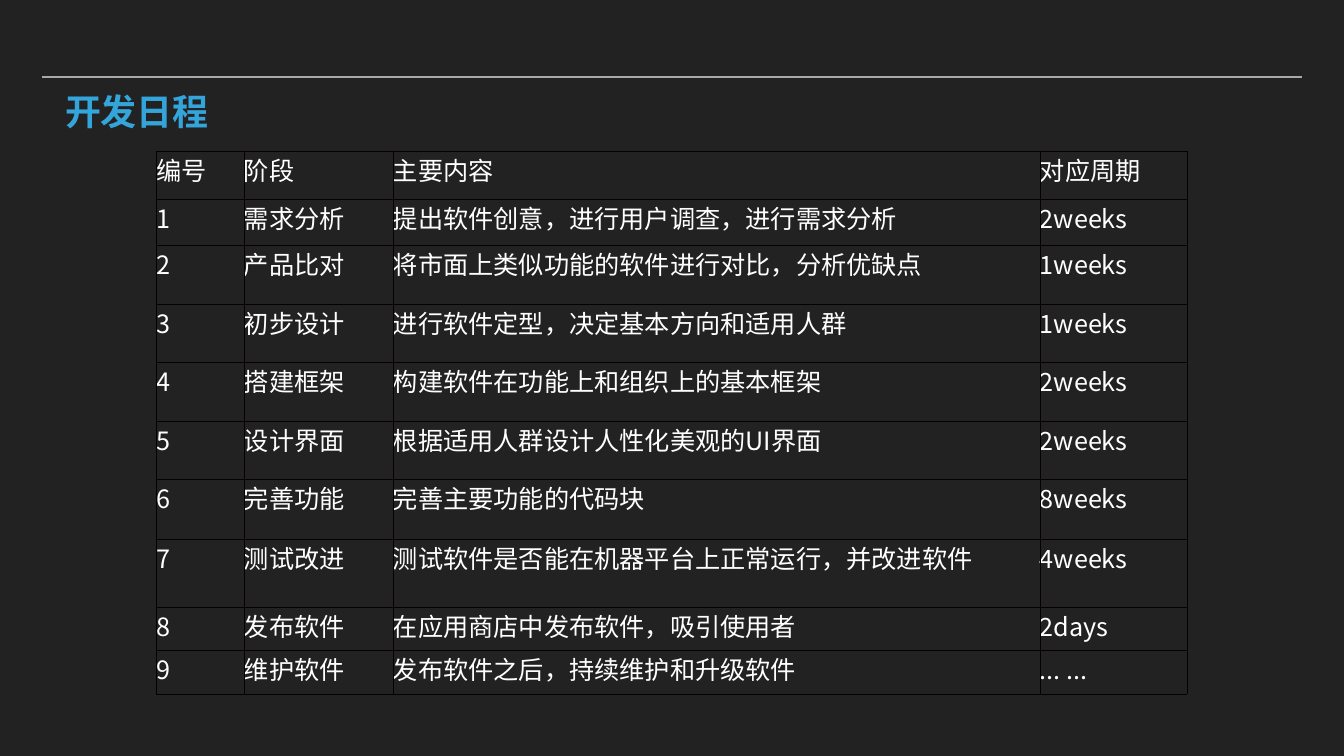
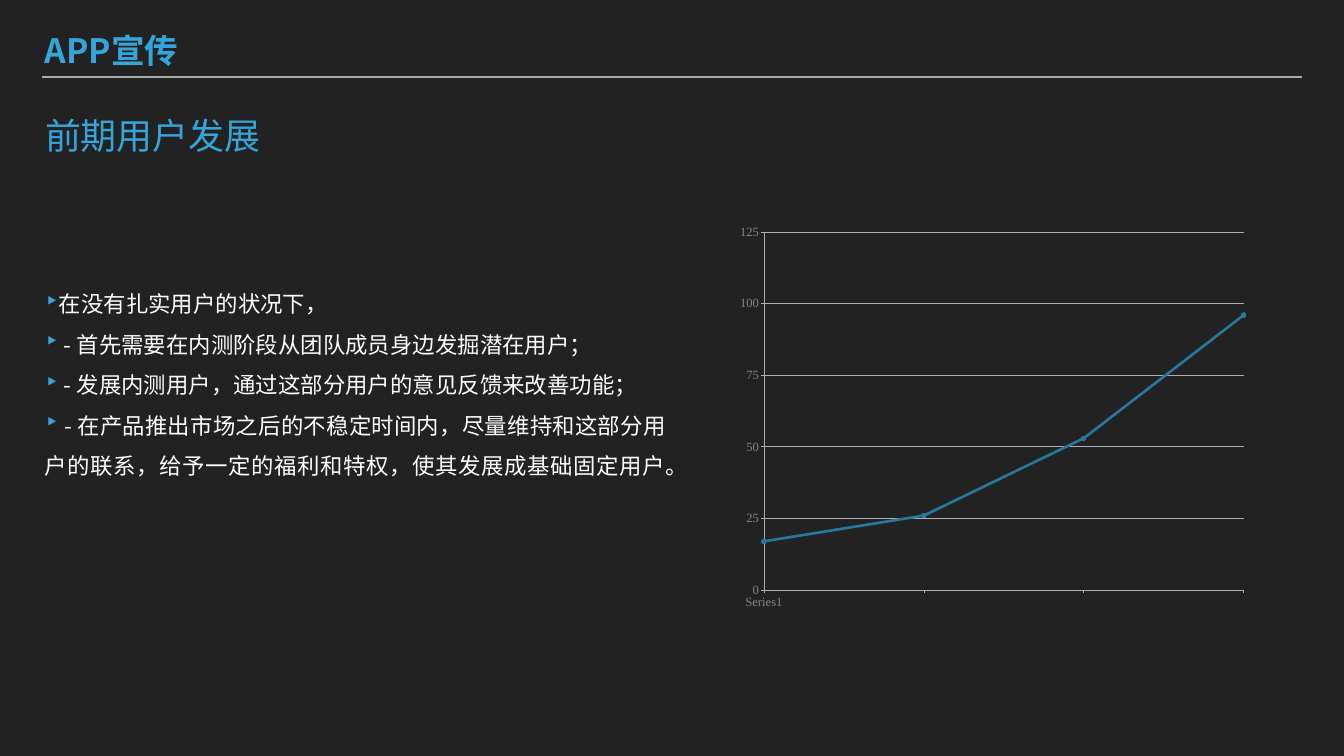
from lxml.etree import SubElement
from pptx import Presentation
from pptx.chart.data import CategoryChartData
from pptx.dml.color import RGBColor
from pptx.enum.chart import XL_CHART_TYPE, XL_MARKER_STYLE, XL_TICK_LABEL_POSITION, XL_TICK_MARK
from pptx.enum.shapes import MSO_CONNECTOR
from pptx.enum.text import MSO_ANCHOR, PP_ALIGN
from pptx.oxml.ns import qn
from pptx.util import Emu, Pt

PX_PER_INCH = 50.4
TITLE_ONLY = 5

BACKGROUND = RGBColor(0x22, 0x22, 0x22)
ACCENT = RGBColor(0x34, 0xA5, 0xDA)
BULLET = RGBColor(0x39, 0xA3, 0xD5)
WHITE = RGBColor(0xFF, 0xFF, 0xFF)
RULE = RGBColor(0xA6, 0xAA, 0xA9)
CELL_BORDER = RGBColor(0x08, 0x00, 0x00)
AXIS_LINE = RGBColor(0xAD, 0xAF, 0xAF)
AXIS_TEXT = RGBColor(0x83, 0x87, 0x87)
USERS_LINE = RGBColor(0x26, 0x78, 0x9F)

FONT = "Noto Sans CJK SC"
CHART_FONT = "Times New Roman"

COLUMN_WIDTHS = (88, 149, 647, 147)
ROW_HEIGHTS = (48, 46, 59, 58, 59, 58, 60, 68, 43, 44)
HEADINGS = ("编号", "阶段", "主要内容", "对应周期")
STAGES = (
    ("需求分析", "提出软件创意，进行用户调查，进行需求分析", "2weeks"),
    ("产品比对", "将市面上类似功能的软件进行对比，分析优缺点", "1weeks"),
    ("初步设计", "进行软件定型，决定基本方向和适用人群", "1weeks"),
    ("搭建框架", "构建软件在功能上和组织上的基本框架", "2weeks"),
    ("设计界面", "根据适用人群设计人性化美观的UI界面", "2weeks"),
    ("完善功能", "完善主要功能的代码块", "8weeks"),
    ("测试改进", "测试软件是否能在机器平台上正常运行，并改进软件", "4weeks"),
    ("发布软件", "在应用商店中发布软件，吸引使用者", "2days"),
    ("维护软件", "发布软件之后，持续维护和升级软件", "... ..."),
)
USER_STEPS = (
    "在没有扎实用户的状况下，",
    " - 首先需要在内测阶段从团队成员身边发掘潜在用户；",
    " - 发展内测用户，通过这部分用户的意见反馈来改善功能；",
    " - 在产品推出市场之后的不稳定时间内，尽量维持和这部分用户的联系，"
    "给予一定的福利和特权，使其发展成基础固定用户。",
)
USER_COUNTS = (17, 26, 53, 96)


def px(length):
    return Emu(round(length * 914400 / PX_PER_INCH))


def add_bullet(paragraph):
    properties = paragraph._p.get_or_add_pPr()
    properties.set("marL", "0")
    properties.set("indent", "0")
    color = SubElement(properties, qn("a:buClr"))
    SubElement(color, qn("a:srgbClr"), val=str(BULLET))
    SubElement(properties, qn("a:buSzPct"), val="105000")
    SubElement(properties, qn("a:buChar"), char="‣")


def write_text(frame, *lines, size, color=WHITE, bold=False, align=PP_ALIGN.LEFT,
               spacing=None, insets=(3, 3, 3, 3), anchor=MSO_ANCHOR.TOP, bullets=False):
    """Fill a text frame, one paragraph per line; insets run left, top, right, bottom."""
    frame.word_wrap = True
    frame.vertical_anchor = anchor
    (frame.margin_left, frame.margin_top,
     frame.margin_right, frame.margin_bottom) = map(px, insets)
    for index, line in enumerate(lines):
        paragraph = frame.paragraphs[0] if index == 0 else frame.add_paragraph()
        paragraph.alignment = align
        if spacing is not None:
            paragraph.line_spacing = spacing
        if bullets:
            add_bullet(paragraph)
        run = paragraph.add_run()
        run.text = line
        font = run.font
        font.size, font.bold, font.name = Pt(size), bold, FONT
        font.color.rgb = color
        SubElement(run._r.get_or_add_rPr(), qn("a:ea"), typeface=FONT)


def add_text(slide, left, top, width, height, *lines, **text_format):
    box = slide.shapes.add_textbox(*map(px, (left, top, width, height)))
    write_text(box.text_frame, *lines, **text_format)


def add_titled_slide(deck, title, left, top, bold=False):
    slide = deck.slides.add_slide(deck.slide_layouts[TITLE_ONLY])
    rule = slide.shapes.add_connector(MSO_CONNECTOR.STRAIGHT, px(42), px(77), px(1302), px(77))
    rule.line.color.rgb = RULE
    rule.line.width = Pt(2)
    SubElement(rule._element.spPr, qn("a:effectLst"))

    heading = slide.shapes.title
    heading.left, heading.top, heading.width, heading.height = map(px, (left, top, 651, 56))
    write_text(heading.text_frame, title, size=51.4, color=ACCENT, bold=bold, spacing=0.8)
    return slide


def add_cell_borders(cell):
    properties = cell._tc.get_or_add_tcPr()
    for side in ("lnL", "lnR", "lnT", "lnB"):
        border = SubElement(properties, qn(f"a:{side}"), w=str(Pt(1)))
        fill = SubElement(border, qn("a:solidFill"))
        SubElement(fill, qn("a:srgbClr"), val=str(CELL_BORDER))


def add_schedule(slide, left, top):
    rows = [HEADINGS] + [(str(number), *stage) for number, stage in enumerate(STAGES, 1)]
    schedule = slide.shapes.add_table(
        len(rows), len(HEADINGS), px(left), px(top),
        px(sum(COLUMN_WIDTHS)), px(sum(ROW_HEIGHTS))).table
    schedule.first_row = schedule.horz_banding = False
    for column, width in zip(schedule.columns, COLUMN_WIDTHS):
        column.width = px(width)
    for row, height, values in zip(schedule.rows, ROW_HEIGHTS, rows):
        row.height = px(height)
        for cell, value in zip(row.cells, values):
            insets = (0, 0, 0, 0)
            write_text(cell.text_frame, value, size=36, insets=insets)
            (cell.margin_left, cell.margin_top,
             cell.margin_right, cell.margin_bottom) = insets
            cell.vertical_anchor = MSO_ANCHOR.TOP
            add_cell_borders(cell)
            cell.fill.background()


def set_plot_area(chart, **fractions):
    """Place the inner plot area by fractions of the chart's size."""
    plot_area = chart._chartSpace.chart.plotArea
    for automatic in plot_area.findall(qn("c:layout")):
        plot_area.remove(automatic)
    layout = plot_area.makeelement(qn("c:layout"))
    plot_area.insert(0, layout)
    manual = SubElement(layout, qn("c:manualLayout"))
    SubElement(manual, qn("c:layoutTarget"), val="inner")
    for mode in ("xMode", "yMode"):
        SubElement(manual, qn(f"c:{mode}"), val="edge")
    for key, fraction in fractions.items():
        SubElement(manual, qn(f"c:{key}"), val=str(fraction))


def start_on_axis(value_axis):
    """Put the first point on the value axis instead of half a step beside it."""
    axis = value_axis._element
    for crossing in axis.findall(qn("c:crossBetween")):
        axis.remove(crossing)
    before = axis.find(qn("c:crosses"))
    if before is None:
        before = axis.find(qn("c:crossAx"))
    before.addnext(axis.makeelement(qn("c:crossBetween"), val="midCat"))


def format_line(line, color, width):
    line.color.rgb = color
    line.width = Pt(width)


def add_user_chart(slide, left, top, width, height):
    data = CategoryChartData()
    data.categories = ("Series1", "", "", "")
    data.add_series("Series 1", USER_COUNTS)
    chart = slide.shapes.add_chart(
        XL_CHART_TYPE.LINE_MARKERS, *map(px, (left, top, width, height)), data).chart
    chart.has_legend = chart.has_title = False
    chart.font.name, chart.font.size = CHART_FONT, Pt(18)
    chart.font.color.rgb = AXIS_TEXT
    chart.plots[0].vary_by_categories = False

    users = chart.plots[0].series[0]
    users.smooth = False
    format_line(users.format.line, USERS_LINE, 3.75)
    users.marker.style, users.marker.size = XL_MARKER_STYLE.CIRCLE, 6
    users.marker.format.fill.solid()
    users.marker.format.fill.fore_color.rgb = USERS_LINE
    users.marker.format.line.color.rgb = USERS_LINE

    counts = chart.value_axis
    counts.minimum_scale, counts.maximum_scale, counts.major_unit = 0, 125, 25
    counts.has_major_gridlines = True
    format_line(counts.major_gridlines.format.line, AXIS_LINE, 1)
    for axis in (chart.category_axis, counts):
        axis.major_tick_mark = XL_TICK_MARK.OUTSIDE
        axis.minor_tick_mark = XL_TICK_MARK.NONE
        format_line(axis.format.line, AXIS_LINE, 1)
    chart.category_axis.tick_label_position = XL_TICK_LABEL_POSITION.LOW
    start_on_axis(counts)
    set_plot_area(chart, x=0.06, y=0.04, w=0.93, h=0.9)


def main():
    deck = Presentation()
    deck.slide_width, deck.slide_height = px(1344), px(756)
    backdrop = deck.slide_master.background.fill
    backdrop.solid()
    backdrop.fore_color.rgb = BACKGROUND

    schedule_slide = add_titled_slide(deck, "开发日程", 62, 95, bold=True)
    add_schedule(schedule_slide, 156, 151)

    users_slide = add_titled_slide(deck, "前期用户发展", 42, 119)
    add_text(users_slide, 42, 245, 651, 340, *USER_STEPS, size=32, align=PP_ALIGN.JUSTIFY,
             spacing=Pt(57.7), insets=(3, 32, 27, 3), bullets=True)
    add_user_chart(users_slide, 733, 216, 516, 398)
    add_text(users_slide, 42, 27, 318, 46, "APP宣传", size=48, color=ACCENT, bold=True,
             anchor=MSO_ANCHOR.MIDDLE)

    deck.save("out.pptx")


if __name__ == "__main__":
    main()
